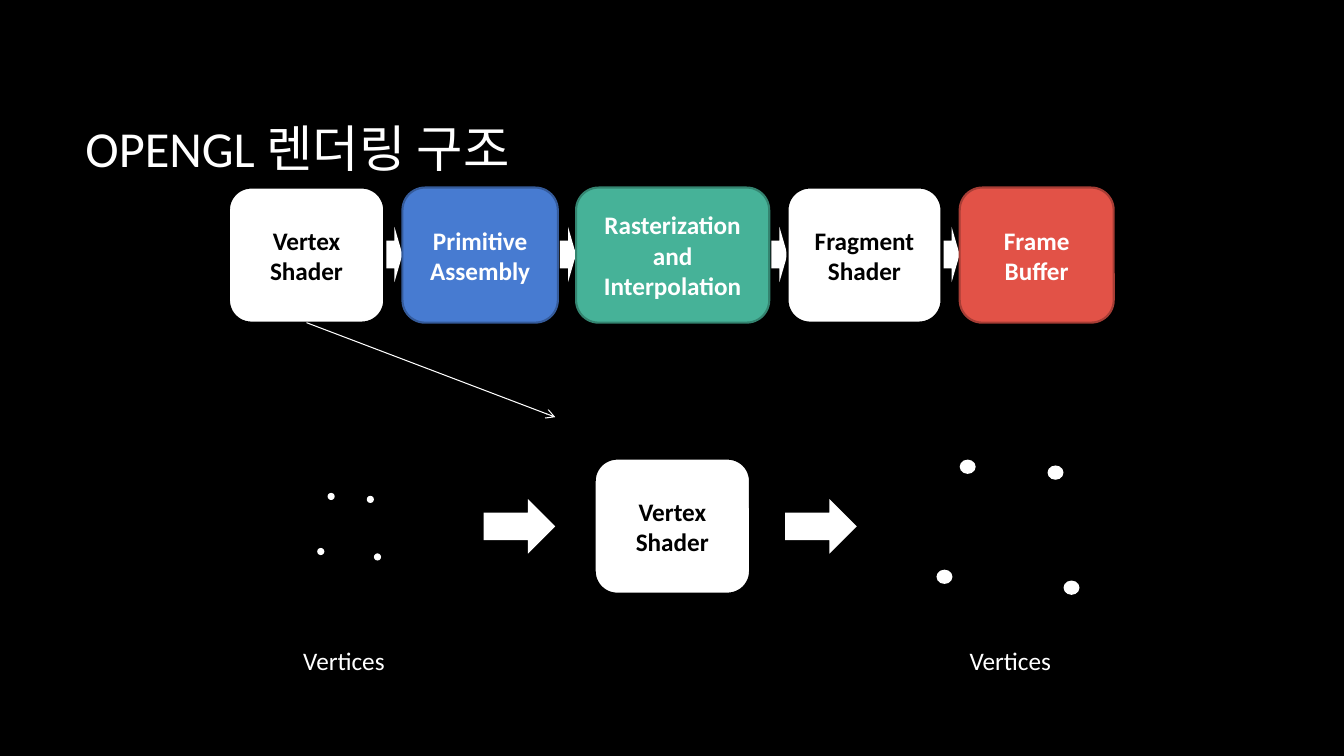
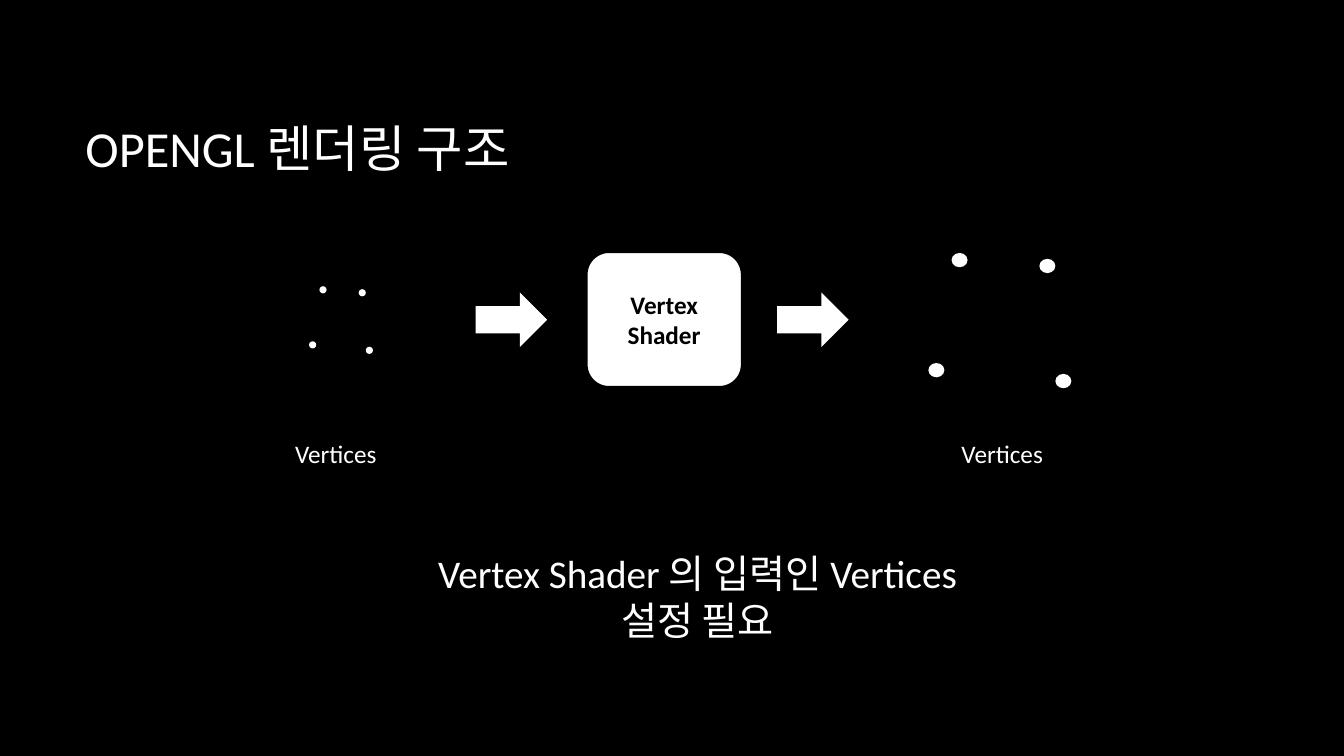
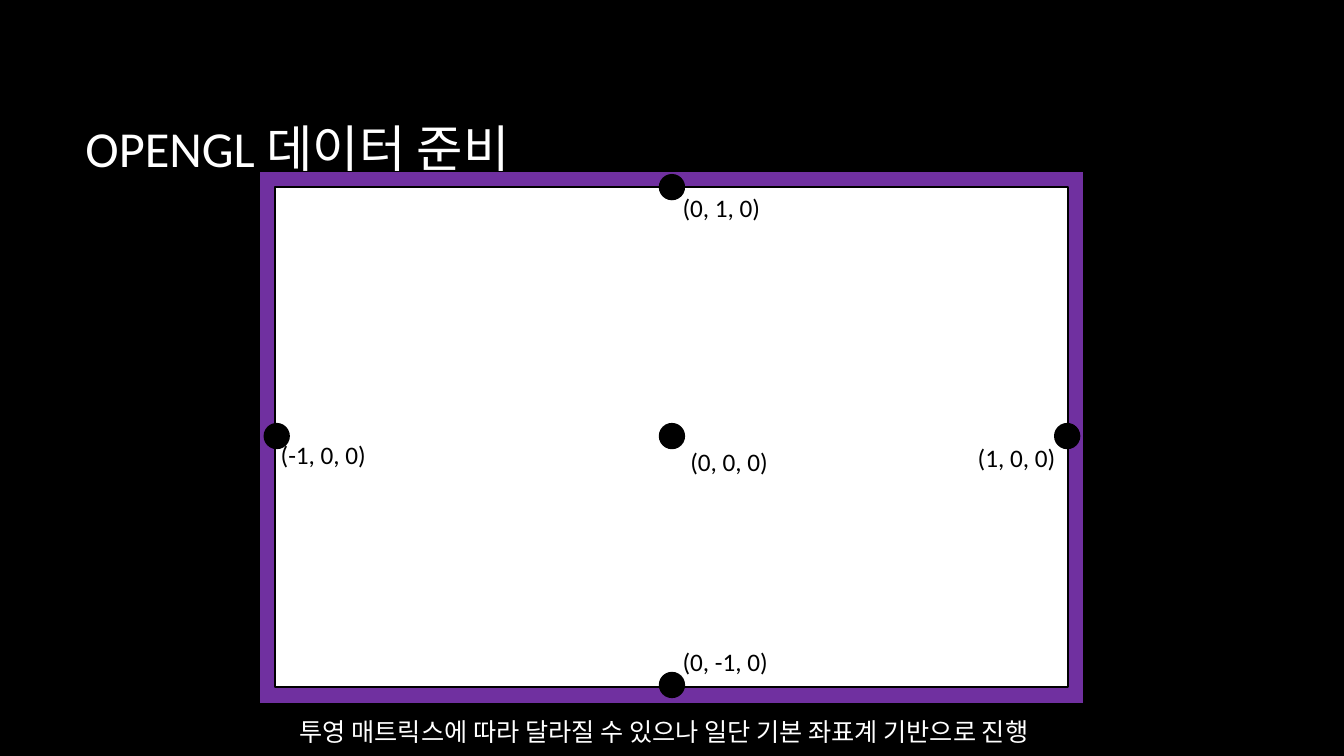
from lxml.etree import SubElement
from pptx import Presentation
from pptx.dml.color import RGBColor
from pptx.enum.shapes import MSO_CONNECTOR, MSO_SHAPE
from pptx.enum.text import MSO_ANCHOR, PP_ALIGN
from pptx.oxml.ns import qn
from pptx.util import Pt

# Colours
BLACK = RGBColor(0x00, 0x00, 0x00)
WHITE = RGBColor(0xFF, 0xFF, 0xFF)
BLUE = RGBColor(0x47, 0x7B, 0xD1)
BLUE_EDGE = RGBColor(0x35, 0x5B, 0x9B)
GREEN = RGBColor(0x46, 0xB2, 0x98)
GREEN_EDGE = RGBColor(0x34, 0x84, 0x70)
RED = RGBColor(0xE2, 0x52, 0x47)
RED_EDGE = RGBColor(0xA7, 0x3D, 0x35)
PURPLE = RGBColor(0x70, 0x30, 0xA0)

# Lengths in points
BOX_WIDTH, BOX_HEIGHT = 111, 96.5
PIPELINE_LEFT, PIPELINE_TOP, PIPELINE_GAP = 163.5, 134, 13
LABEL_HEIGHT = 28.8
CENTER_X, CENTER_Y = 480, 311.5
HALF_WIDTH, HALF_HEIGHT = 282.3, 177.8
MARKER_SIZE = 17.3

# Text, width, fill, edge and text colour of each pipeline stage
STAGES = [
    ("Vertex Shader", BOX_WIDTH, WHITE, BLACK, BLACK),
    ("Primitive Assembly", BOX_WIDTH, BLUE, BLUE_EDGE, WHITE),
    ("Rasterization and Interpolation", 138, GREEN, GREEN_EDGE, WHITE),
    ("Fragment Shader", 110, WHITE, BLACK, BLACK),
    ("Frame Buffer", 110, RED, RED_EDGE, WHITE),
]
# Vertex positions relative to the first vertex
VERTICES = [(0, 0), (-7.4, 39.3), (33.1, 43.2), (28, 2.1)]
# Coordinate and the offset of its label from the marker centre
COORDINATES = [
    ((0, 0), (6, 4)),
    ((0, 1), (0.5, 0)),
    ((0, -1), (0.5, -31)),
    ((1, 0), (-71, 1)),
    ((-1, 0), (-4.3, -1)),
]


class Deck:
    """Holds the shared style and the current slide."""

    font_name = "Calibri"

    def __init__(self):
        self.presentation = Presentation()
        self.presentation.slide_width = Pt(960)
        self.presentation.slide_height = Pt(540)
        self.slide = None

    def new_slide(self):
        layout = self.presentation.slide_layouts[6]
        self.slide = self.presentation.slides.add_slide(layout)
        fill = self.slide.background.fill
        fill.solid()
        fill.fore_color.rgb = BLACK

    def set_text(self, shape, text, color, size=18, bold=False,
                 align=PP_ALIGN.LEFT, anchor=MSO_ANCHOR.TOP):
        frame = shape.text_frame
        frame.word_wrap = True
        frame.vertical_anchor = anchor
        paragraph = frame.paragraphs[0]
        paragraph.alignment = align
        run = paragraph.add_run()
        run.text = text
        run.font.color.rgb = color
        values = {"name": self.font_name, "size": Pt(size), "bold": bold}
        for name, value in values.items():
            setattr(run.font, name, value)

    def text(self, text, left, top, width, height=LABEL_HEIGHT, color=WHITE, **style):
        box = self.slide.shapes.add_textbox(Pt(left), Pt(top), Pt(width), Pt(height))
        self.set_text(box, text, color, **style)

    def title(self, text):
        self.text(text, 54, 48.2, 798, 114.5, size=36, anchor=MSO_ANCHOR.MIDDLE)

    def shape(self, kind, left, top, width, height, fill=WHITE, edge=None):
        shape = self.slide.shapes.add_shape(
            kind, Pt(left), Pt(top), Pt(width), Pt(height))
        shape.shadow.inherit = False
        shape.fill.solid()
        shape.fill.fore_color.rgb = fill
        if edge is None:
            shape.line.fill.background()
        else:
            shape.line.color.rgb = edge
            shape.line.width = Pt(1.5)
        return shape

    def box(self, text, left, top, width=BOX_WIDTH, fill=WHITE, edge=BLACK, color=BLACK):
        shape = self.shape(MSO_SHAPE.ROUNDED_RECTANGLE, left, top,
                           width, BOX_HEIGHT, fill, edge)
        self.set_text(shape, text, color, bold=True,
                      align=PP_ALIGN.CENTER, anchor=MSO_ANCHOR.MIDDLE)

    def block_arrow(self, left, top, width, height):
        self.shape(MSO_SHAPE.RIGHT_ARROW, left, top, width, height)

    def line_arrow(self, start, end):
        connector = self.slide.shapes.add_connector(
            MSO_CONNECTOR.STRAIGHT, *(Pt(value) for value in (*start, *end)))
        connector.line.color.rgb = WHITE
        connector.line.width = Pt(0.75)
        properties = connector.element.spPr
        SubElement(properties.find(qn("a:ln")), qn("a:tailEnd"), type="arrow")
        SubElement(properties, qn("a:effectLst"))

    def vertices(self, left, top, scale_x=1, scale_y=1):
        for x, y in VERTICES:
            self.shape(MSO_SHAPE.FLOWCHART_CONNECTOR, left + x * scale_x,
                       top + y * scale_y, 5.1 * scale_x, 5.1 * scale_y)

    def vertex_stage(self, left, top):
        """Vertices in, shader box, enlarged vertices out."""
        self.vertices(left + 24.5, top + 24.5)
        self.vertices(left + 476, top + 0.7, 2.24, 2)
        for arrow_left in (136, 351.4):
            self.block_arrow(left + arrow_left, top + 28.9, 51.1, 39)
        for label_left in (0, 476):
            self.text("Vertices", left + label_left, top + 129.6, 85)
        self.box("Vertex Shader", left + 215.3, top)


def pipeline_slide(deck):
    deck.new_slide()
    deck.title("OPENGL 렌더링 구조")
    # Pipeline row
    left = PIPELINE_LEFT
    for index, (text, width, fill, edge, color) in enumerate(STAGES):
        if index:
            deck.block_arrow(left - 11.5, 162, 11.5, 39.6)
        deck.box(text, left, PIPELINE_TOP, width, fill, edge, color)
        left += width + PIPELINE_GAP
    # Detail of the first stage
    deck.vertex_stage(209.5, 327.6)
    deck.line_arrow((PIPELINE_LEFT + BOX_WIDTH / 2, PIPELINE_TOP + BOX_HEIGHT),
                    (396.7, 298))


def vertex_slide(deck):
    deck.new_slide()
    deck.title("OPENGL 렌더링 구조")
    deck.vertex_stage(203.7, 180)
    deck.text("Vertex Shader 의 입력인 Vertices 설정 필요", 288.7, 388.8, 419, 75,
              size=28, align=PP_ALIGN.CENTER)


def coordinate_slide(deck):
    deck.new_slide()
    # Frame and screen
    deck.shape(MSO_SHAPE.RECTANGLE, 185, 122.4, 589.7, 380.2, PURPLE, BLACK)
    deck.title("OPENGL 데이터 준비")
    deck.shape(MSO_SHAPE.RECTANGLE, 196.6, 133.9, 566.6, 357.1, WHITE, BLACK)
    # Markers with their coordinates
    for (x, y), (offset_x, offset_y) in COORDINATES:
        marker_x = CENTER_X + x * HALF_WIDTH
        marker_y = CENTER_Y - y * HALF_HEIGHT
        deck.text(f"({x}, {y}, 0)", marker_x + offset_x, marker_y + offset_y,
                  79.2, color=BLACK)
        deck.shape(MSO_SHAPE.OVAL, marker_x - MARKER_SIZE / 2,
                   marker_y - MARKER_SIZE / 2, MARKER_SIZE, MARKER_SIZE, BLACK, BLACK)
    # Caption
    deck.text("투영 매트릭스에 따라 달라질 수 있으나 일단 기본 좌표계 기반으로 진행",
              134, 508.3, 680.4, align=PP_ALIGN.CENTER)


def main():
    deck = Deck()
    pipeline_slide(deck)
    vertex_slide(deck)
    coordinate_slide(deck)
    deck.presentation.save("out.pptx")


if __name__ == "__main__":
    main()
